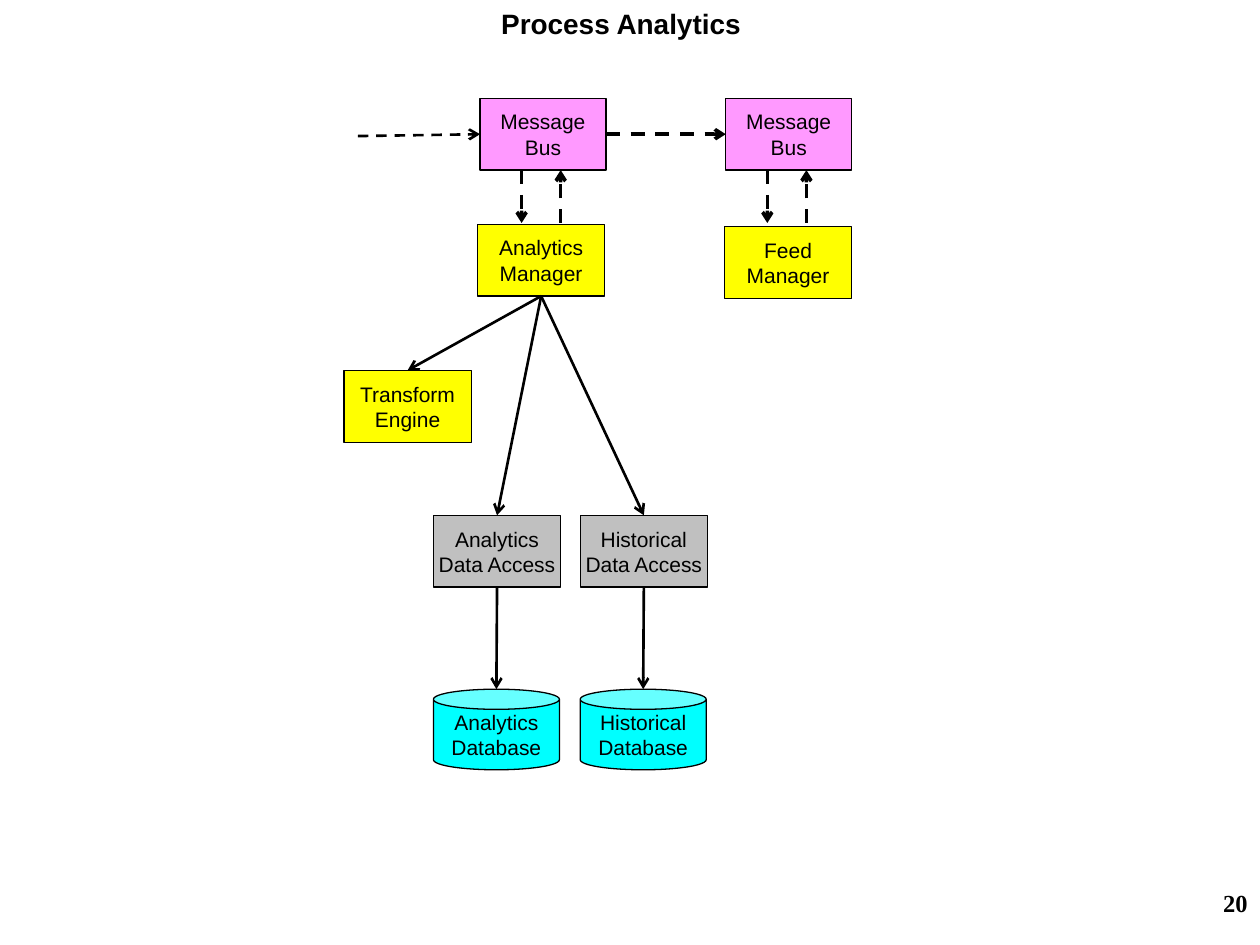
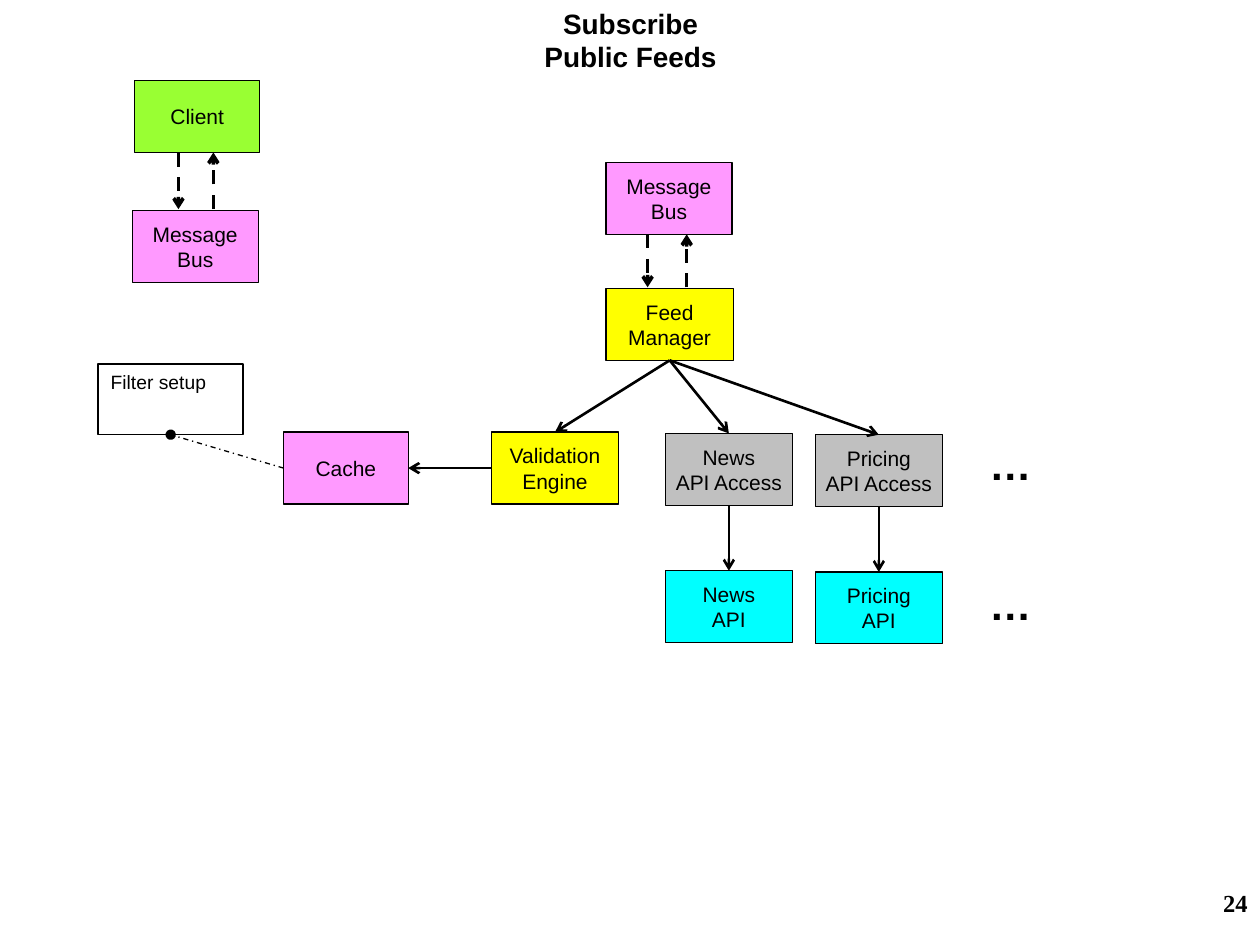
from lxml import etree
from pptx import Presentation
from pptx import util as u
from pptx.dml.color import RGBColor
from pptx.enum import dml, shapes, text
from pptx.oxml.ns import qn

COLS, ROWS = 100, 75
INK, WHITE = "000000", "FFFFFF"
PINK, YELLOW, GREY, CYAN, GREEN = "FF99FF", "FFFF00", "C0C0C0", "00FFFF", "99FF33"
LEFT, MID, RIGHT = text.PP_ALIGN.LEFT, text.PP_ALIGN.CENTER, text.PP_ALIGN.RIGHT
DASH, DOTS = dml.MSO_LINE.DASH, dml.MSO_LINE.DASH_DOT
RECT, CAN = shapes.MSO_SHAPE.RECTANGLE, shapes.MSO_SHAPE.CAN
# Points on a box, as shares of its width and height
TOP, BASE, WEST, EAST = (0.5, 0), (0.5, 1), (0, 0.5), (1, 0.5)
WIDE, HIGH = 10.1, 5.7


def rgb(code):
    return RGBColor.from_string(code)


class Deck:
    def __init__(self):
        self.show = Presentation()
        self.show.slide_width, self.show.slide_height = u.Inches(10), u.Inches(7.5)
        self.slide = None

    def grid(self, *cells):
        """Turn column, row, column, row ... into slide lengths."""
        sizes = self.show.slide_width / COLS, self.show.slide_height / ROWS
        return [u.Emu(round(cell * sizes[i % 2])) for i, cell in enumerate(cells)]

    def page(self, number, title, area, align):
        self.slide = self.show.slides.add_slide(self.show.slide_layouts[6])
        self.label(number, (79.2, 70, 20.8, 5), 14, RIGHT, "Times New Roman")
        self.label(title, area, 16, align, grow=True)

    def words(self, frame, lines, size, align=MID, font="Arial", bold=False):
        for i, line in enumerate(lines.split("\n")):
            para = frame.paragraphs[0] if i == 0 else frame.add_paragraph()
            para.alignment = align
            run = para.add_run()
            run.text = line
            run.font.name, run.font.size, run.font.bold = font, u.Pt(size), bold
            run.font.color.rgb = rgb(INK)

    def label(self, lines, area, size, align=MID, font="Arial", grow=False):
        frame = self.slide.shapes.add_textbox(*self.grid(*area)).text_frame
        frame.word_wrap = True
        if grow:
            frame.auto_size = text.MSO_AUTO_SIZE.SHAPE_TO_FIT_TEXT
        self.words(frame, lines, size, align, font, bold=True)

    def shape(self, kind, area, fill, width=0.75):
        item = self.slide.shapes.add_shape(kind, *self.grid(*area))
        item.shadow.inherit = False
        item.fill.solid()
        item.fill.fore_color.rgb = rgb(fill)
        item.line.color.rgb = rgb(INK)
        item.line.width = u.Pt(width)
        return item

    def box(self, lines, col, row, fill, wide=WIDE, high=HIGH, kind=RECT):
        item = self.shape(kind, (col, row, wide, high), fill)
        frame = item.text_frame
        frame.word_wrap = False
        frame.vertical_anchor = text.MSO_ANCHOR.MIDDLE
        self.words(frame, lines, 12)
        return item

    def bus(self, col, row):
        return self.box("Message\nBus", col, row, PINK, wide=10)

    def store(self, lines, col, row):
        return self.box(lines, col, row, CYAN, 10, 6.4, CAN)

    def note(self, lines, area):
        item = self.shape(RECT, area, WHITE, 1)
        frame = item.text_frame
        frame.word_wrap = True
        frame.vertical_anchor = text.MSO_ANCHOR.TOP
        self.words(frame, lines, 11, LEFT)
        return item

    def spot(self, item, share):
        return (round(item.left + share[0] * item.width),
                round(item.top + share[1] * item.height))

    def line(self, start, end, width=1.5, dash=None, tip="arrow"):
        wire = self.slide.shapes.add_connector(
            shapes.MSO_CONNECTOR.STRAIGHT, *start, *end)
        wire.line.color.rgb = rgb(INK)
        wire.line.width = u.Pt(width)
        if dash:
            wire.line.dash_style = dash
        props = wire._element.spPr
        etree.SubElement(props.find(qn("a:ln")), qn("a:tailEnd"), type=tip)
        etree.SubElement(props, qn("a:effectLst"))

    def join(self, first, last, leave=BASE, reach=TOP, **style):
        self.line(self.spot(first, leave), self.spot(last, reach), **style)

    def swap(self, upper, rows=4.2, down=0.33, back=0.64):
        """Dashed arrows down from a box and back up to it."""
        drop = self.grid(0, rows)[1]
        for share, rise in ((down, False), (back, True)):
            x, y = self.spot(upper, (share, 1))
            ends = [(x, y), (x, y + drop)]
            if rise:
                ends.reverse()
            self.line(*ends, width=2, dash=DASH)


def process(deck):
    deck.page("20", "Process Analytics", (38.8, 0, 22.4, 3.7), LEFT)
    bus, next_bus = deck.bus(38.1, 7.8), deck.bus(57.6, 7.8)
    for item in (bus, next_bus):
        deck.swap(item)
    deck.line(deck.grid(28.4, 10.8), deck.spot(bus, WEST), dash=DASH)
    deck.join(bus, next_bus, EAST, WEST, width=2, dash=DASH)

    boss = deck.box("Analytics\nManager", 37.9, 17.8, YELLOW)
    deck.box("Feed\nManager", 57.5, 18, YELLOW)
    deck.join(boss, deck.box("Transform\nEngine", 27.3, 29.4, YELLOW))
    for name, col in (("Analytics", 34.4), ("Historical", 46.05)):
        gate = deck.box(name + "\nData Access", col, 40.9, GREY)
        deck.join(boss, gate)
        deck.join(gate, deck.store(name + "\nDatabase", col, 54.7))


def feeds(deck):
    deck.page("24", "Subscribe\nPublic Feeds", (32.8, 0, 34.5, 6.4), MID)
    client = deck.box("Client", 10.7, 6.4, GREEN, 9.9)
    deck.swap(client, 4.5, 0.35, 0.63)
    deck.bus(10.5, 16.7)
    deck.swap(deck.bus(48.1, 12.9))

    boss = deck.box("Feed\nManager", 48.1, 22.9, YELLOW)
    check = deck.box("Validation\nEngine", 39, 34.3, YELLOW)
    cache = deck.box("Cache", 22.5, 34.3, PINK, 9.9)
    setup = deck.note("Filter setup", (7.8, 28.9, 11.5, 5.6))
    deck.join(boss, check)
    deck.join(check, cache, WEST, EAST)
    deck.join(cache, setup, WEST, BASE, width=0.75, dash=DOTS, tip="oval")

    for name, col, row in (("News", 52.8, 34.4), ("Pricing", 64.7, 34.5)):
        gate = deck.box(name + "\nAPI Access", col, row, GREY)
        deck.join(boss, gate)
        deck.join(gate, deck.box(name + "\nAPI", col, row + 10.9, CYAN))
    for row in (34.3, 45.4):
        deck.label("…", (76.6, row, 7.2, 5), 24, grow=True)


def main():
    deck = Deck()
    process(deck)
    feeds(deck)
    deck.show.save("out.pptx")


if __name__ == "__main__":
    main()
